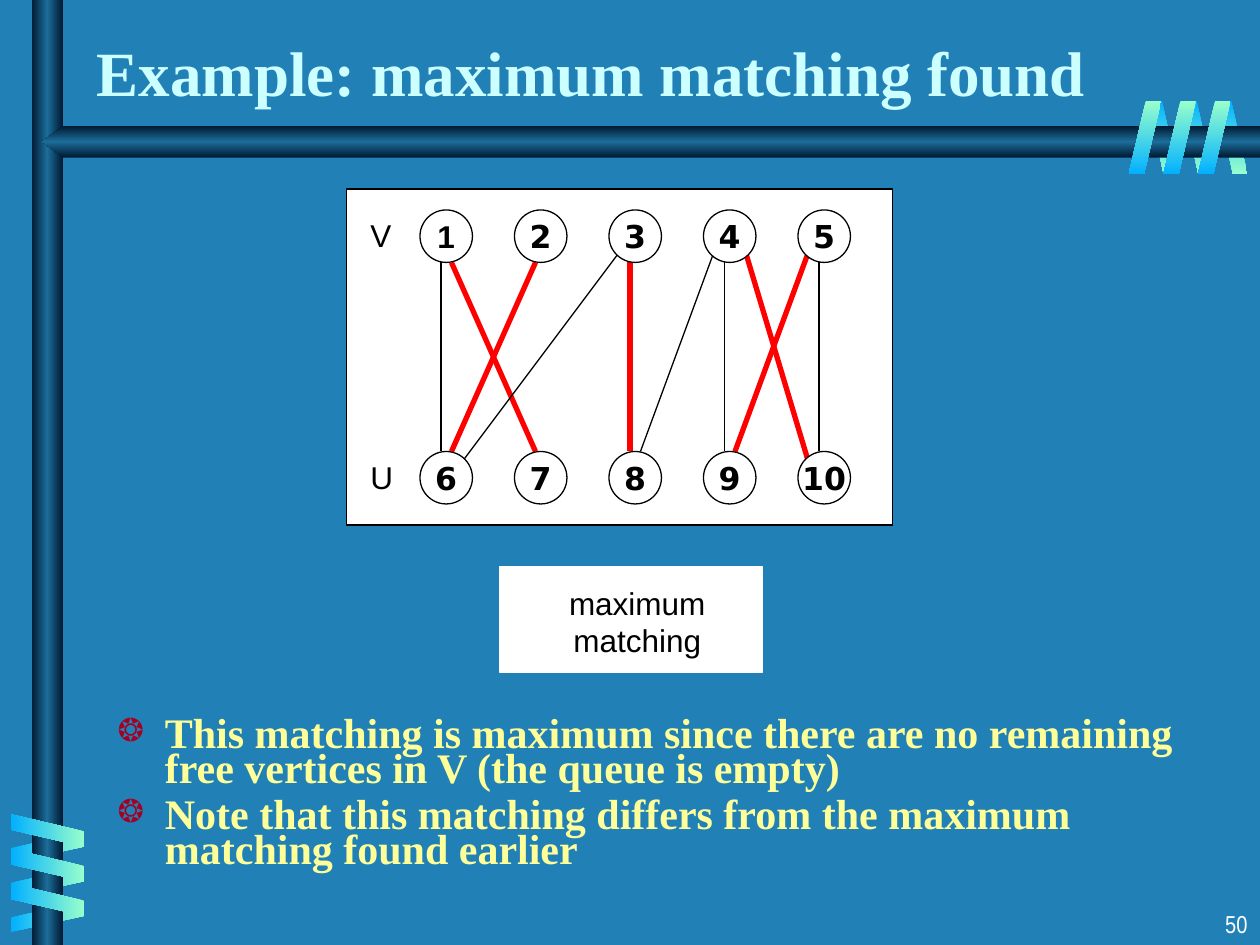
from typing import NamedTuple

from lxml.etree import SubElement
from pptx import Presentation
from pptx.dml.color import RGBColor
from pptx.enum.shapes import MSO_CONNECTOR, MSO_SHAPE
from pptx.enum.text import MSO_ANCHOR, MSO_AUTO_SIZE, PP_ALIGN
from pptx.oxml.ns import qn
from pptx.util import Emu, Pt

SCALE = 7620  # EMU per px, 120 px to the inch
BLACK, WHITE, RED = "000000", "FFFFFF", "FF0000"
AQUA = ("01B0FF", "99FFCC")
MINT = AQUA[::-1]
STEEL = ("001932", "1C6D9A", "001932")
SERIF = "Times New Roman"


class Box(NamedTuple):
    x: int
    y: int
    w: int
    h: int


class Coil(NamedTuple):
    """Three parallelograms, each one step further than the last."""
    box: Box
    dx: int
    dy: int
    turn: int
    flip: bool
    stops: tuple
    angle: int


class Edge(NamedTuple):
    x1: int
    y1: int
    x2: int
    y2: int
    match: bool = False


BACK = [
    Coil(Box(1093, 96, 29, 70), 33, 0, 180, True, AQUA, 90),
    Coil(Box(31, 772, 29, 70), 0, 33, 90, True, AQUA, 180),
]
FRONT = [
    Coil(Box(30, 756, 31, 70), 0, 33, 270, False, MINT, 180),
    Coil(Box(1075, 96, 31, 70), 33, 0, 0, False, MINT, 90),
]
EDGES = [
    Edge(420, 250, 420, 430),
    Edge(430, 250, 510, 430, True),
    Edge(600, 250, 600, 430, True),
    Edge(690, 250, 690, 430),
    Edge(780, 250, 780, 430),
    Edge(510, 250, 430, 430, True),
    Edge(590, 240, 440, 440),
    Edge(680, 240, 610, 430),
    Edge(770, 240, 700, 430, True),
    Edge(710, 240, 770, 440, True),
]
ROWS = {"V": (200, range(1, 6)), "U": (430, range(6, 11))}
NOTES = [
    "This matching is maximum since there are no remaining "
    "free vertices in V (the queue is empty)",
    "Note that this matching differs from the maximum "
    "matching found earlier",
]


def px(n: int) -> Emu:
    return Emu(n * SCALE)


def rgb(code: str) -> RGBColor:
    return RGBColor.from_string(code)


def write(shape, *lines: str, size=18, font="Arial", color=BLACK, bold=False,
          align=PP_ALIGN.LEFT, anchor=MSO_ANCHOR.TOP, wrap=False,
          bullet=False, space=0, lead=1.0) -> None:
    frame = shape.text_frame
    frame.word_wrap = wrap
    frame.auto_size = MSO_AUTO_SIZE.NONE
    frame.vertical_anchor = anchor
    frame.text = "\n".join(lines)
    for i, para in enumerate(frame.paragraphs):
        if bullet:
            mark(para)
        para.alignment = align
        para.line_spacing = lead
        para.space_before = Pt(space if i else 0)
        para.font.size = Pt(size)
        para.font.name = font
        para.font.bold = bold
        para.font.color.rgb = rgb(color)


def mark(para) -> None:
    """Give a paragraph its red flower bullet and hanging indent."""
    props = para._p.get_or_add_pPr()
    props.set("marL", str(px(45)))
    props.set("indent", str(-px(45)))
    tint = SubElement(props, qn("a:buClr"))
    SubElement(tint, qn("a:srgbClr"), val="A50021")
    SubElement(props, qn("a:buSzPct"), val="75000")
    SubElement(props, qn("a:buFont"), typeface="DejaVu Sans")
    SubElement(props, qn("a:buChar"), char="❂")


def shade(shape, stops: tuple, angle: int) -> None:
    """Fill with evenly spaced stops, clockwise angle, fixed to the page."""
    shape.shadow.inherit = False
    shape.line.fill.background()
    shape.fill.gradient()
    grad = shape.element.spPr.find(qn("a:gradFill"))
    grad.set("rotWithShape", "0")
    grad.find(qn("a:lin")).set("ang", str(angle * 60000))
    ramp = grad.find(qn("a:gsLst"))
    for old in list(ramp):
        ramp.remove(old)
    for i, code in enumerate(stops):
        pos = 100000 * i // (len(stops) - 1)
        stop = SubElement(ramp, qn("a:gs"), pos=str(pos))
        SubElement(stop, qn("a:srgbClr"), val=code)


def place(shape, box: Box) -> None:
    shape.left, shape.top, shape.width, shape.height = map(px, box)


def plain(shapes, kind: MSO_SHAPE, box: Box, line: str = BLACK):
    shape = shapes.add_shape(kind, *map(px, box))
    shape.shadow.inherit = False
    shape.fill.solid()
    shape.fill.fore_color.rgb = rgb(WHITE)
    shape.line.color.rgb = rgb(line)
    shape.line.width = Pt(0.75)
    return shape


def label(shapes, box: Box, *lines: str, **style) -> None:
    write(shapes.add_textbox(*map(px, box)), *lines, **style)


def wind(shapes, coil: Coil) -> None:
    for i in reversed(range(3)):
        box = coil.box._replace(x=coil.box.x + i * coil.dx,
                                y=coil.box.y + (2 - i) * coil.dy)
        band = shapes.add_shape(MSO_SHAPE.PARALLELOGRAM, *map(px, box))
        band.adjustments[0] = 0.53
        band.rotation = coil.turn
        if coil.flip:
            band.element.spPr.find(qn("a:xfrm")).set("flipH", "1")
        shade(band, coil.stops, coil.angle)


def frame(shapes) -> None:
    """Draw the bar, the beam and the coils around them."""
    for coil in BACK:
        wind(shapes, coil)
    bar = shapes.add_shape(MSO_SHAPE.RECTANGLE, *map(px, Box(30, 0, 30, 900)))
    shade(bar, STEEL, 180)
    path = shapes.build_freeform(1200, 120, scale=SCALE)
    path.add_line_segments([(60, 120), (40, 135), (60, 150), (1200, 150)])
    shade(path.convert_to_shape(), STEEL, 90)
    for coil in FRONT:
        wind(shapes, coil)


def link(shapes, edge: Edge) -> None:
    ends = map(px, edge[:4])
    line = shapes.add_connector(MSO_CONNECTOR.STRAIGHT, *ends)
    line.line.color.rgb = rgb(RED if edge.match else BLACK)
    line.line.width = Pt(3 if edge.match else 0.75)
    SubElement(line.element.spPr, qn("a:effectLst"))


def graph(shapes) -> None:
    plain(shapes, MSO_SHAPE.RECTANGLE, Box(330, 180, 520, 320))
    for edge in EDGES:
        link(shapes, edge)
    for name, (top, nums) in ROWS.items():
        label(shapes, Box(341, top, 44, 48), name)
        for i, num in enumerate(nums):
            node = plain(shapes, MSO_SHAPE.OVAL, Box(400 + 90 * i, top, 50, 50))
            write(node, str(num), font="Arial" if num == 1 else "DejaVu Sans",
                  bold=True, align=PP_ALIGN.CENTER, anchor=MSO_ANCHOR.MIDDLE)


def main() -> None:
    deck = Presentation()
    deck.slide_width, deck.slide_height = px(1200), px(900)
    slide = deck.slides.add_slide(deck.slide_layouts[1])
    slide.background.fill.solid()
    slide.background.fill.fore_color.rgb = rgb("2181B7")
    shapes = slide.shapes
    frame(shapes)
    title, body = slide.placeholders
    place(title, Box(80, 20, 996, 90))
    write(title, "Example: maximum matching found", size=36, font=SERIF,
          color="CCFFFF", bold=True, anchor=MSO_ANCHOR.BOTTOM, wrap=True)
    place(body, Box(100, 680, 1100, 170))
    write(body, *NOTES, size=24, font=SERIF, color="FFFF99", bold=True,
          wrap=True, bullet=True, space=6, lead=0.7)
    plain(shapes, MSO_SHAPE.RECTANGLE, Box(476, 540, 250, 100), WHITE)
    label(shapes, Box(530, 550, 154, 84), "maximum", "matching",
          align=PP_ALIGN.CENTER)
    graph(shapes)
    label(shapes, Box(950, 860, 250, 40), "50", size=14, font="Arial Narrow",
          color=WHITE, align=PP_ALIGN.RIGHT, wrap=True)
    deck.save("out.pptx")


if __name__ == "__main__":
    main()
